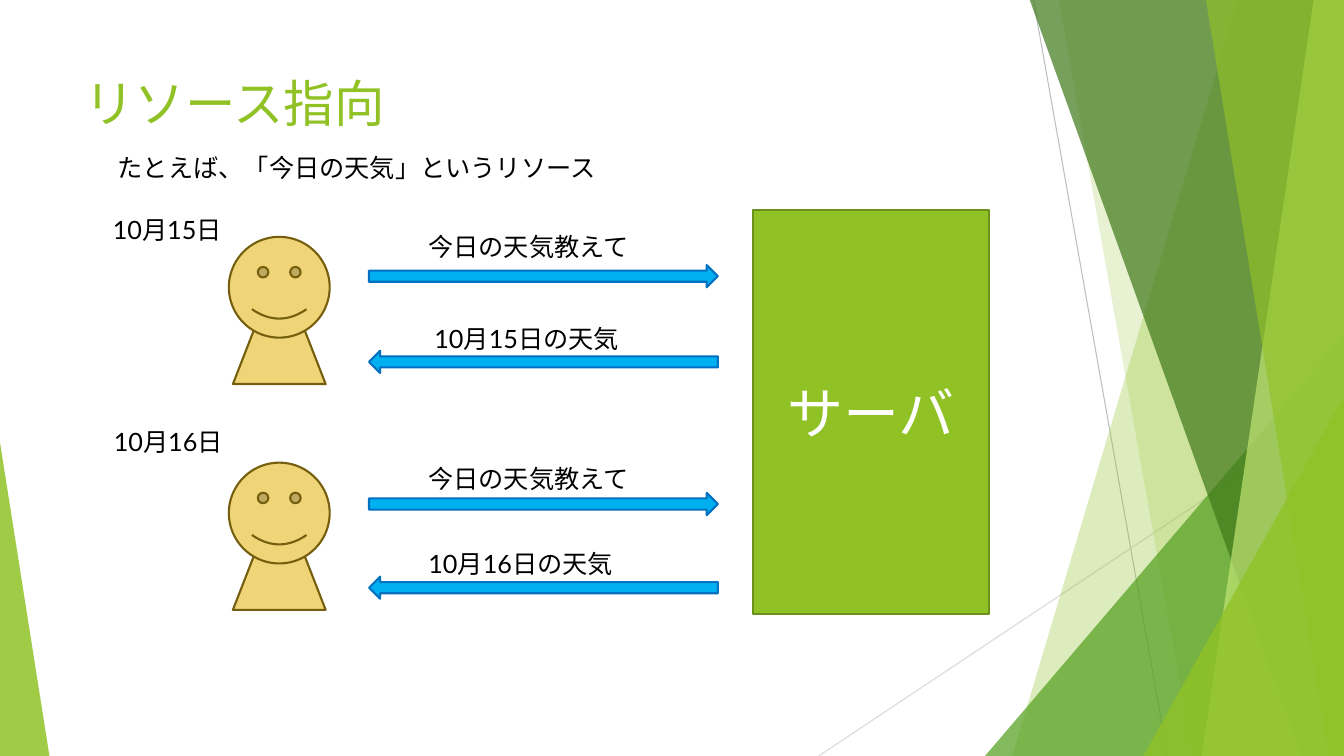
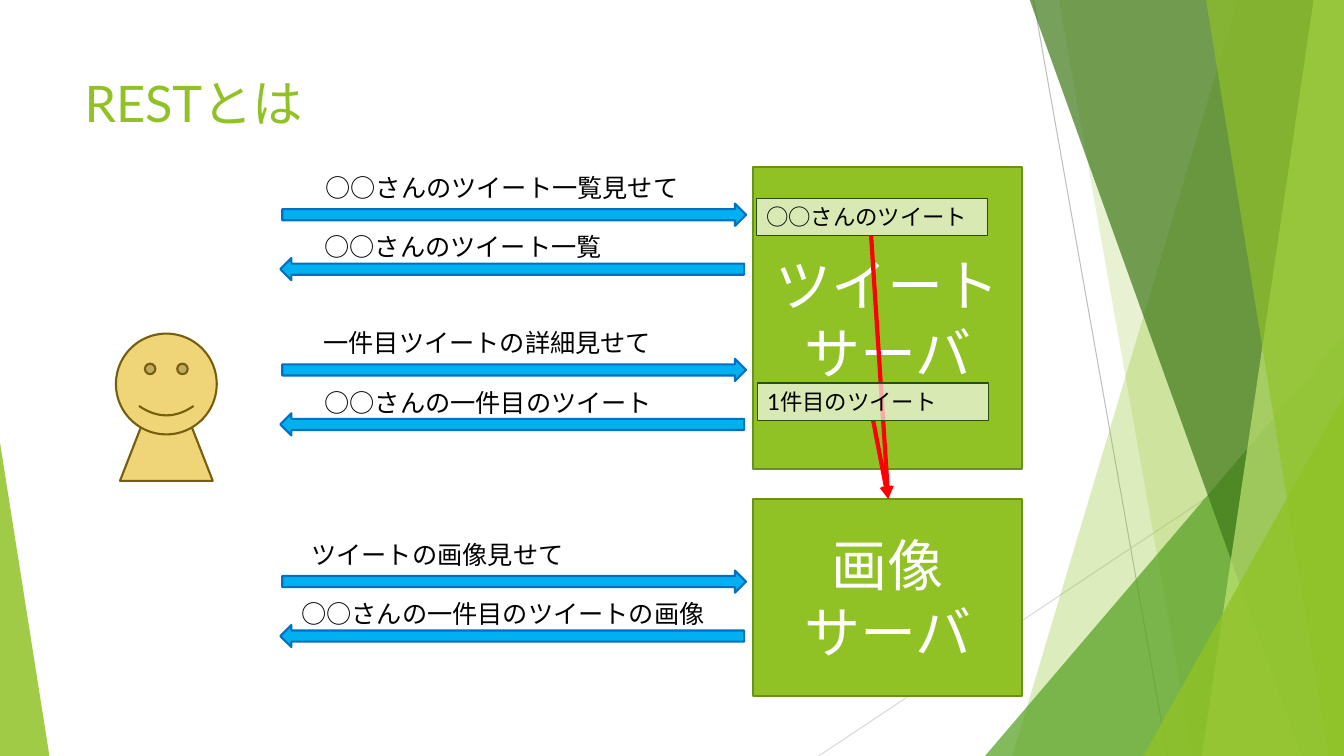
from dataclasses import dataclass

from lxml.etree import SubElement
from pptx import Presentation
from pptx.dml.color import RGBColor
from pptx.enum.shapes import MSO_CONNECTOR, MSO_SHAPE
from pptx.enum.text import MSO_ANCHOR, PP_ALIGN
from pptx.oxml.ns import qn
from pptx.util import Inches, Pt

FONT = "Lato"
SLIDE_WIDTH, SLIDE_HEIGHT = 13.33, 7.5
ARROW_HEIGHT = 0.22
LABEL_HEIGHT = 0.4
COLOURS = {
    "green": "90C226",
    "mid_green": "54A021",
    "dark_green": "3F7819",
    "light_green": "C0E474",
    "green_edge": "6B901C",
    "tag_edge": "2A5010",
    "skin": "F0D578",
    "skin_edge": "755E0D",
    "arrow": "00B0F0",
    "arrow_edge": "0070C0",
    "red": "FF0000",
    "white": "FFFFFF",
    "black": "000000",
    "grey": "BFBFBF",
    "pale_grey": "D9D9D9",
}


@dataclass
class Box:
    """A rectangle in inches."""
    left: float
    top: float
    width: float
    height: float

    def lengths(self):
        """Return left, top, width and height as lengths."""
        return [Inches(v) for v in (self.left, self.top, self.width, self.height)]


@dataclass
class Panel:
    """A full-height band that runs to the right edge of the slide."""
    top_left: float
    bottom_left: float
    colour: str
    opacity: int


@dataclass
class Wedge:
    """A right triangle standing on the bottom edge of the slide."""
    left: float
    top: float
    width: float
    apex: int
    colour: str
    opacity: int


@dataclass
class Message:
    """A labelled arrow between the person and a server."""
    text: str
    label_left: float
    label_top: float
    label_width: float
    arrow_left: float
    arrow_top: float
    arrow_width: float
    is_reply: bool


@dataclass
class Exchange:
    """A request and its reply, with the place of the request arrow."""
    top: float
    request: str
    request_left: float
    request_width: float
    reply: str
    reply_left: float
    reply_width: float


DECORATION = [
    Panel(12.28, 10.04, "green", 30),
    Panel(10.5, 11.83, "green", 20),
    Wedge(9.77, 3.33, 3.56, 1, "mid_green", 72),
    Panel(10.21, 12.91, "dark_green", 70),
    Panel(13.03, 11.92, "light_green", 70),
    Panel(11.96, 13.18, "green", 65),
    Wedge(11.34, 3.93, 1.99, 1, "green", 80),
    Wedge(0, 4.39, 0.49, 0, "green", 85),
]


def rgb(name: str) -> RGBColor:
    """Look up a colour by name."""
    return RGBColor.from_string(COLOURS[name])


def paint(shape, fill: str, edge: str = "", weight: float = 1.5, opacity: int = 100):
    """Give a shape its fill, outline and opacity, without a shadow."""
    shape.fill.solid()
    shape.fill.fore_color.rgb = rgb(fill)
    if opacity < 100:
        colour = shape.element.spPr.find(qn("a:solidFill")).find(qn("a:srgbClr"))
        SubElement(colour, qn("a:alpha"), val=str(opacity * 1000))
    if edge:
        shape.line.color.rgb = rgb(edge)
        shape.line.width = Pt(weight)
    else:
        shape.line.fill.background()
    if hasattr(shape, "shadow"):
        shape.shadow.inherit = False


def write(shape, text: str, size: int, colour: str, align=PP_ALIGN.LEFT,
          anchor=MSO_ANCHOR.TOP):
    """Put formatted, wrapped text into a shape."""
    frame = shape.text_frame
    frame.text = text
    frame.word_wrap = True
    frame.vertical_anchor = anchor
    for para in frame.paragraphs:
        para.alignment = align
        for span in para.runs:
            span.font.name = FONT
            span.font.size = Pt(size)
            span.font.color.rgb = rgb(colour)


def add_text(page, box: Box, text: str, size: int = 18, colour: str = "black"):
    """Add a text box and return it."""
    shape = page.shapes.add_textbox(*box.lengths())
    write(shape, text, size, colour)
    return shape


def add_line(page, start: tuple, end: tuple, colour: str, weight: float,
             arrowhead: bool = False):
    """Add a straight line, with an arrowhead at its end if asked."""
    points = [Inches(v) for v in (*start, *end)]
    line = page.shapes.add_connector(MSO_CONNECTOR.STRAIGHT, *points)
    line.line.color.rgb = rgb(colour)
    line.line.width = Pt(weight)
    properties = line.element.spPr
    if arrowhead:
        SubElement(properties.find(qn("a:ln")), qn("a:tailEnd"), type="triangle")
    SubElement(properties, qn("a:effectLst"))


def add_panel(page, panel: Panel):
    """Draw one slanted band."""
    top = -0.01
    corners = [(panel.top_left, top), (SLIDE_WIDTH, top),
               (SLIDE_WIDTH, SLIDE_HEIGHT), (panel.bottom_left, SLIDE_HEIGHT)]
    points = [(Inches(x), Inches(y)) for x, y in corners]
    builder = page.shapes.build_freeform(*points[0])
    builder.add_line_segments(points[1:], close=True)
    paint(builder.convert_to_shape(), panel.colour, opacity=panel.opacity)


def add_wedge(page, wedge: Wedge):
    """Draw one corner triangle."""
    box = Box(wedge.left, wedge.top, wedge.width, SLIDE_HEIGHT - wedge.top)
    shape = page.shapes.add_shape(MSO_SHAPE.ISOSCELES_TRIANGLE, *box.lengths())
    shape.adjustments[0] = wedge.apex
    paint(shape, wedge.colour, opacity=wedge.opacity)


def add_page(deck, title: str):
    """Add a slide with the shared decoration and a title."""
    page = deck.slides.add_slide(deck.slide_layouts[6])
    add_line(page, (10.25, 0), (11.58, SLIDE_HEIGHT), "grey", 0.75)
    add_line(page, (SLIDE_WIDTH, 4.03), (8.12, SLIDE_HEIGHT), "pale_grey", 0.75)
    for part in DECORATION:
        if isinstance(part, Panel):
            add_panel(page, part)
        else:
            add_wedge(page, part)
    add_text(page, Box(0.74, 0.67, 9.4, 0.76), title, 36, "green")
    return page


def add_server(page, box: Box, name: str):
    """Draw a server block with its name in the middle."""
    shape = page.shapes.add_shape(MSO_SHAPE.RECTANGLE, *box.lengths())
    paint(shape, "green", "green_edge")
    write(shape, name, 40, "white", PP_ALIGN.CENTER, MSO_ANCHOR.MIDDLE)


def add_person(page, left: float, top: float):
    """Draw a grouped figure: a body behind a smiling head."""
    group = page.shapes.add_group_shape()
    parts = [(MSO_SHAPE.ISOSCELES_TRIANGLE, Box(left + 0.04, top + 0.28, 0.92, 1.18)),
             (MSO_SHAPE.SMILEY_FACE, Box(left, top, 1, 1))]
    for kind, box in parts:
        paint(group.shapes.add_shape(kind, *box.lengths()), "skin", "skin_edge")


def add_message(page, message: Message):
    """Draw an arrow and the label above it."""
    box = Box(message.arrow_left, message.arrow_top, message.arrow_width, ARROW_HEIGHT)
    arrow = page.shapes.add_shape(MSO_SHAPE.RIGHT_ARROW, *box.lengths())
    arrow.rotation = 180 if message.is_reply else 0
    paint(arrow, "arrow", "arrow_edge")
    label = Box(message.label_left, message.label_top, message.label_width, LABEL_HEIGHT)
    add_text(page, label, message.text)


def add_exchange(page, exchange: Exchange):
    """Draw a request and, below it, the reply."""
    top = exchange.top
    add_message(page, Message(exchange.request, exchange.request_left, top - 0.36,
                              exchange.request_width, 2.8, top, 4.6, False))
    add_message(page, Message(exchange.reply, exchange.reply_left, top + 0.23,
                              exchange.reply_width, 2.78, top + 0.54, 4.6, True))


def add_tag(page, left: float, top: float, text: str):
    """Draw a translucent tag on a server."""
    tag = add_text(page, Box(left, top, 2.29, 0.37), text, 16)
    paint(tag, "white", "tag_edge", 0.75, 65)


def build_resource_page(deck):
    """Build the slide about resource orientation."""
    page = add_page(deck, "リソース指向")
    add_server(page, Box(7.47, 2.08, 2.34, 4.01), "サーバ")
    for top in (2.35, 4.59):
        add_person(page, 2.27, top)
    add_text(page, Box(1.02, 2.08, 1.28, LABEL_HEIGHT), "10月15日")
    add_text(page, Box(1.03, 4.18, 1.28, LABEL_HEIGHT), "10月16日")
    for text, label_left, label_top, arrow_top, is_reply in [
        ("今日の天気教えて", 4.15, 2.25, 2.63, False),
        ("10月15日の天気", 4.21, 3.16, 3.48, True),
        ("今日の天気教えて", 4.15, 4.55, 4.89, False),
        ("10月16日の天気", 4.15, 5.39, 5.72, True),
    ]:
        add_message(page, Message(text, label_left, label_top, 2.34,
                                  3.66, arrow_top, 3.46, is_reply))
    add_text(page, Box(1.07, 1.46, 7.87, LABEL_HEIGHT),
             "たとえば、「今日の天気」というリソース")


def build_rest_page(deck):
    """Build the slide that explains REST."""
    page = add_page(deck, "RESTとは")
    add_server(page, Box(7.47, 1.66, 2.67, 2.99), "ツイート\nサーバ")
    add_server(page, Box(7.47, 4.95, 2.67, 1.96), "画像\nサーバ")
    add_person(page, 1.15, 3.31)
    for exchange in [
        Exchange(2.02, "○○さんのツイート一覧見せて", 3.13, 3.75,
                 "○○さんのツイート一覧", 3.12, 3.75),
        Exchange(3.56, "一件目ツイートの詳細見せて", 3.11, 5,
                 "○○さんの一件目のツイート", 3.12, 3.75),
        Exchange(5.66, "ツイートの画像見せて", 2.99, 5,
                 "○○さんの一件目のツイートの画像", 2.89, 4.54),
    ]:
        add_exchange(page, exchange)
    add_tag(page, 7.5, 1.97, "○○さんのツイート")
    for start in [(8.66, 4.17), (8.64, 2.34)]:
        add_line(page, start, (8.81, 4.95), "red", 3, arrowhead=True)
    add_tag(page, 7.51, 3.8, "1件目のツイート")


def main():
    """Build and save the deck."""
    deck = Presentation()
    deck.slide_width = Inches(SLIDE_WIDTH)
    deck.slide_height = Inches(SLIDE_HEIGHT)
    build_resource_page(deck)
    build_rest_page(deck)
    deck.save("out.pptx")


main()
